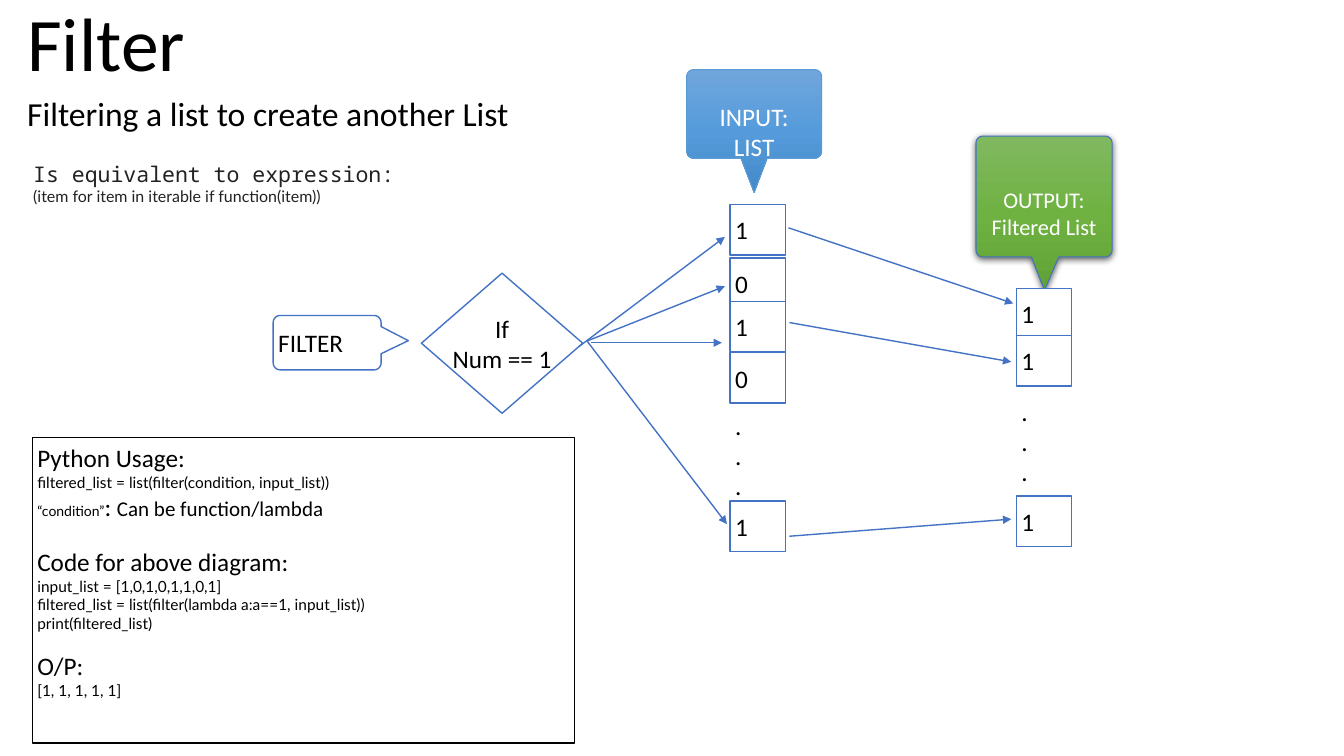
"""Build a slide that explains how filter turns one list into another."""
from copy import deepcopy
from dataclasses import dataclass
from math import cos, radians, sin

from lxml import etree
from pptx import Presentation
from pptx.dml.color import RGBColor
from pptx.enum.shapes import MSO_CONNECTOR, MSO_SHAPE
from pptx.enum.text import MSO_ANCHOR, PP_ALIGN
from pptx.oxml.ns import qn
from pptx.util import Pt

PX = 9144
RECT, DIAMOND = MSO_SHAPE.RECTANGLE, MSO_SHAPE.DIAMOND
STRAIGHT = MSO_CONNECTOR.STRAIGHT
TOP, MIDDLE, BOTTOM = MSO_ANCHOR.TOP, MSO_ANCHOR.MIDDLE, MSO_ANCHOR.BOTTOM
LEFT, CENTER = PP_ALIGN.LEFT, PP_ALIGN.CENTER


@dataclass(frozen=True)
class Theme:
    black: str = "000000"
    white: str = "FFFFFF"
    gray: str = "222222"
    blue: str = "4472C4"
    sky: str = "5B9BD5"
    skies: tuple = ("70A6DB", "559BDB", "448AC9")
    greens: tuple = ("80B860", "6FB242", "61A236")
    body: str = "Calibri"
    code: str = "Lato"
    mono: str = "Noto Sans Mono"
    title: float = 54
    sub: float = 24
    base: float = 18
    label: float = 16
    note: float = 15
    lead: float = 15.4
    expr: float = 11.4
    small: float = 11
    tiny: float = 10


T = Theme()


@dataclass(frozen=True)
class Line:
    text: str
    size: float = T.base
    face: str = T.body
    gap: float = 0


def rgb(color):
    return RGBColor.from_string(color)


def write(shape, rows, color=T.black, align=LEFT, anchor=MIDDLE, wrap=True, lead=1.0):
    """Fill a shape with rows; a row is one Line or a tuple of Lines side by side."""
    frame = shape.text_frame
    frame.word_wrap, frame.vertical_anchor = wrap, anchor
    frame.margin_left = frame.margin_right = 5 * PX
    frame.margin_top = frame.margin_bottom = 5 * PX
    for i, row in enumerate(rows):
        para = frame.add_paragraph() if i else frame.paragraphs[0]
        para.alignment, para.line_spacing = align, lead
        para.font.color.rgb = rgb(color)
        parts = row if isinstance(row, tuple) else (row,)
        para.space_before = Pt(parts[0].gap)
        for part in parts:
            run = para.add_run()
            run.text = part.text
            font = run.font if len(parts) > 1 else para.font
            font.name, font.size = part.face, Pt(part.size)


def paint(shape, fill=T.white, line=T.blue, width=1):
    shape.shadow.inherit = False
    if fill:
        shape.fill.solid()
        shape.fill.fore_color.rgb = rgb(fill)
    else:
        shape.fill.background()
    if line:
        shape.line.color.rgb = rgb(line)
        shape.line.width = Pt(width)
    else:
        shape.line.fill.background()


def label(slide, box, rows, **style):
    write(slide.shapes.add_textbox(*(n * PX for n in box)), rows, **style)


def panel(slide, kind, box, rows, fill=T.white, line=T.blue, **style):
    shape = slide.shapes.add_shape(kind, *(n * PX for n in box))
    paint(shape, fill, line)
    write(shape, rows, **style)


def column(slide, left, cells, dots):
    """Stack value cells by their tops, with dots for the items left out."""
    panel(slide, RECT, (left, dots, 55, 98), [Line(".")] * 3, line=None)
    for top, value in cells:
        panel(slide, RECT, (left, top, 55, 50), [Line(value)])


def bubble(slide, box, tip, side):
    """Draw a rounded box whose tip follows the given number of corners."""
    left, top, wide, high = box
    rad = 7
    xs, ys = (left + rad, left + wide - rad), (top + rad, top + high - rad)
    spots = ((xs[0], ys[0], 180), (xs[1], ys[0], 270), (xs[1], ys[1], 0), (xs[0], ys[1], 90))
    arcs = [[(x + rad * cos(radians(start + step)), y + rad * sin(radians(start + step)))
             for step in range(0, 91, 15)] for x, y, start in spots]
    arcs.insert(side, tip)
    first, *rest = [(x * PX, y * PX) for arc in arcs for x, y in arc]
    pen = slide.shapes.build_freeform(*first)
    pen.add_line_segments(rest, close=True)
    shape = pen.convert_to_shape()
    paint(shape)
    return shape


def shade(shape, colors, line):
    """Give a shape a vertical blend of three colours."""
    paint(shape, line=line, width=0.75)
    shape.fill.gradient()
    shape.fill.gradient_angle = 270
    stops = shape._element.spPr.find(".//" + qn("a:gsLst"))
    mid = deepcopy(stops[0])
    mid.set("pos", "50000")
    stops.insert(1, mid)
    for stop, color in zip(shape.fill.gradient_stops, colors):
        stop.color.rgb = rgb(color)


def lift(shape):
    """Add a soft shadow below a shape."""
    effect = shape._element.spPr.find(qn("a:effectLst"))
    cast = etree.SubElement(effect, qn("a:outerShdw"), blurRad=str(Pt(5)),
                            dist=str(Pt(1.5)), dir="5400000", rotWithShape="0")
    tone = etree.SubElement(cast, qn("a:srgbClr"), val=T.black)
    etree.SubElement(tone, qn("a:alpha"), val="63000")


def arrow(slide, *ends):
    link = slide.shapes.add_connector(STRAIGHT, *(n * PX for n in ends))
    link.line.color.rgb = rgb(T.blue)
    link.line.width = Pt(1)
    etree.SubElement(link.line._get_or_add_ln(), qn("a:tailEnd"), type="triangle")
    etree.SubElement(link._element.spPr, qn("a:effectLst"))


def main():
    deck = Presentation()
    deck.slide_width, deck.slide_height = 1333 * PX, 750 * PX
    slide = deck.slides.add_slide(deck.slide_layouts[6])

    label(slide, (22, 3, 1000, 89), [Line("Filter", T.title)], anchor=BOTTOM, lead=0.9)
    label(slide, (22, 92, 1000, 66), [Line("Filtering a list to create another List", T.sub)],
          anchor=TOP, lead=0.9)
    label(slide, (28, 155, 450, 53), [
        Line("Is equivalent to expression:", T.lead, T.mono),
        Line("(item for item in iterable if function(item))", T.expr, T.code),
    ], color=T.gray, anchor=TOP)

    column(slide, 724, ((203, "1"), (256, "0"), (299, "1"), (350, "0"), (497, "1")), 403)
    source = bubble(slide, (681, 69, 134, 88), [(761, 157), (748, 191), (735, 157)], 3)
    shade(source, T.skies, T.sky)
    write(source, [Line("INPUT:"), Line("LIST")], T.white, CENTER)

    name = bubble(slide, (271, 313, 107, 54), [(378, 324), (405, 338), (378, 351)], 2)
    write(name, [Line("FILTER")])
    panel(slide, DIAMOND, (418, 271, 160, 139), [Line("If"), Line("Num == 1")],
          align=CENTER, wrap=False)

    result = bubble(slide, (968, 135, 135, 120), [(1050, 255), (1036, 288), (1023, 255)], 3)
    shade(result, T.greens, T.blue)
    lift(result)
    write(result, [Line("OUTPUT:", T.label), Line("Filtered List", T.label)], T.white, CENTER)
    column(slide, 1008, ((286, "1"), (333, "1"), (492, "1")), 389)

    for ends in ((574, 344, 719, 235), (583, 338, 719, 284), (586, 340, 716, 340),
                 (582, 338, 721, 520), (782, 226, 1005, 301), (783, 320, 1003, 359),
                 (783, 532, 1003, 515)):
        arrow(slide, *ends)

    panel(slide, RECT, (32, 434, 538, 303), [
        Line("Python Usage:"),
        Line("filtered_list = list(filter(condition, input_list))", T.small, T.code),
        (Line("“condition”", T.tiny, T.code), Line(": "),
         Line("Can be function/lambda", T.note)),
        Line("Code for above diagram:", gap=18),
        Line("input_list = [1,0,1,0,1,1,0,1]", T.small, T.code),
        Line("filtered_list = list(filter(lambda a:a==1, input_list))", T.small, T.code),
        Line("print(filtered_list)", T.small, T.code),
        Line("O/P:", gap=13),
        Line("[1, 1, 1, 1, 1]", T.small, T.code),
    ], fill=None, line=T.black, anchor=TOP)
    deck.save("out.pptx")


if __name__ == "__main__":
    main()
